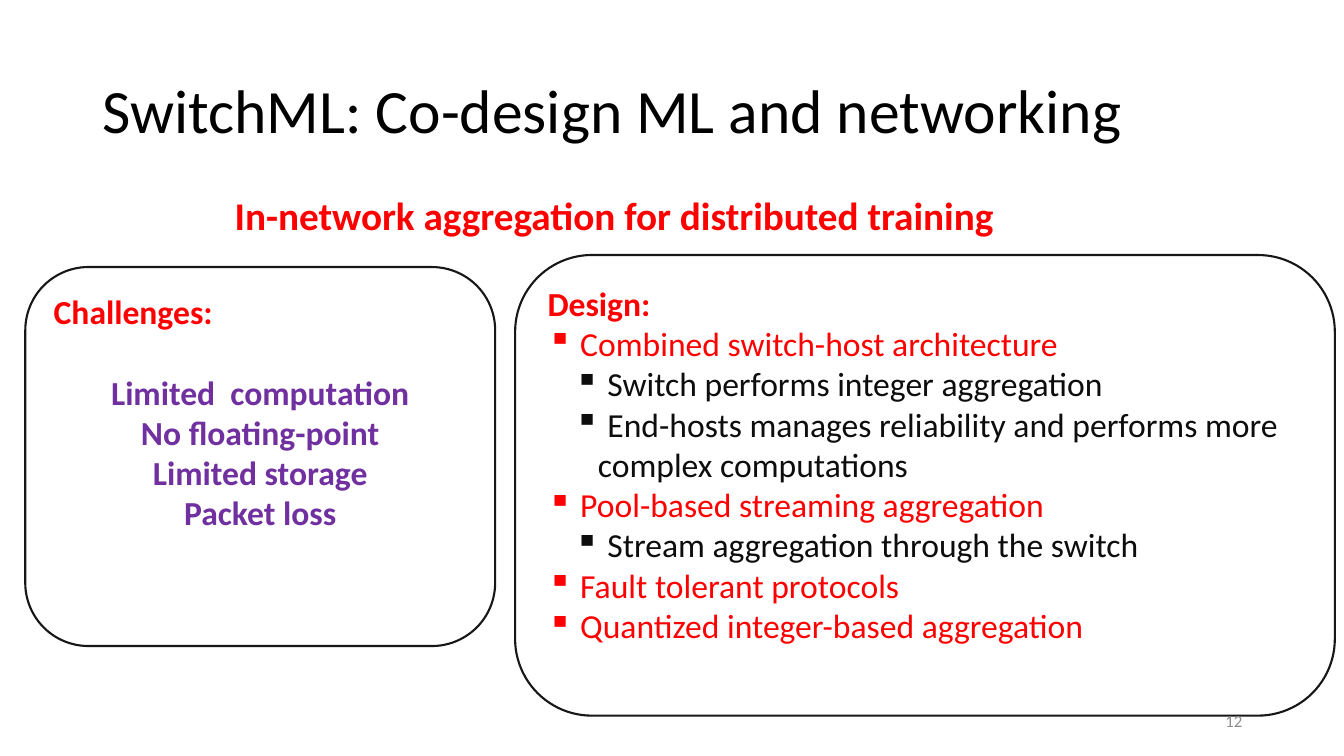
from dataclasses import dataclass

from lxml import etree
from pptx import Presentation
from pptx.dml.color import RGBColor
from pptx.enum.shapes import MSO_SHAPE
from pptx.enum.text import MSO_ANCHOR, PP_ALIGN
from pptx.oxml.ns import qn
from pptx.util import Inches, Pt

ROUNDED = MSO_SHAPE.ROUNDED_RECTANGLE
TOP, MIDDLE = MSO_ANCHOR.TOP, MSO_ANCHOR.MIDDLE
LEFT, CENTER, RIGHT = PP_ALIGN.LEFT, PP_ALIGN.CENTER, PP_ALIGN.RIGHT


@dataclass(frozen=True)
class Theme:
    font: str = "Calibri"
    black: str = "000000"
    ink: str = "0D0D0D"
    outline: str = "181717"
    red: str = "FF0000"
    purple: str = "7030A0"
    grey: str = "8C8C8C"
    title: int = 44
    subtitle: int = 28
    body: int = 24
    footer: int = 12
    line: float = 1.5
    bullet: str = "▪"


class SlideBuilder:
    GRID = 100

    def __init__(self, prs, theme):
        self.theme = theme
        self.col = prs.slide_width / self.GRID
        self.row = prs.slide_height / self.GRID
        self.s = prs.slides.add_slide(prs.slide_layouts[6])

    def place(self, col, row, cols, rows):
        return (round(col * self.col), round(row * self.row),
                round(cols * self.col), round(rows * self.row))

    def frame(self, sp, anchor):
        tf = sp.text_frame
        for name, value in {"word_wrap": True, "vertical_anchor": anchor}.items():
            setattr(tf, name, value)
        return tf

    def paragraph(self, tf, text, size, color, bold=False, marker=None, **layout):
        p = tf.paragraphs[0] if tf.paragraphs[0].text == "" else tf.add_paragraph()
        for name, value in {"alignment": LEFT, **layout}.items():
            setattr(p, name, value)
        if marker is not None:
            margin, indent = marker
            pPr = p._p.get_or_add_pPr()
            pPr.set("marL", str(Inches(margin)))
            pPr.set("indent", str(Inches(indent)))
            etree.SubElement(pPr, qn("a:buChar")).set("char", self.theme.bullet)
        r = p.add_run()
        r.text = text
        style = {"name": self.theme.font, "size": Pt(size), "bold": bold}
        for name, value in style.items():
            setattr(r.font, name, value)
        r.font.color.rgb = RGBColor.from_string(color)

    def label(self, box, text, size, color, anchor=TOP, **fmt):
        sp = self.s.shapes.add_textbox(*self.place(*box))
        self.paragraph(self.frame(sp, anchor), text, size, color, **fmt)

    def panel(self, box, heading, **fmt):
        sp = self.s.shapes.add_shape(ROUNDED, *self.place(*box))
        sp.shadow.inherit = False
        sp.fill.background()
        sp.line.color.rgb = RGBColor.from_string(self.theme.outline)
        sp.line.width = Pt(self.theme.line)
        tf = self.frame(sp, TOP)
        self.paragraph(tf, heading, self.theme.body, self.theme.red, bold=True, **fmt)
        return tf

    def challenges(self, box, items):
        tf = self.panel(box, "Challenges:", space_after=Pt(29))
        for text in items:
            self.paragraph(tf, text, self.theme.body, self.theme.purple,
                           bold=True, alignment=CENTER)

    def design(self, box, items):
        t = self.theme
        levels = [(t.red, (0, 0)), (t.ink, (0.5, -0.23))]
        tf = self.panel(box, "Design:")
        for level, text in items:
            color, marker = levels[level]
            self.paragraph(tf, f" {text}", t.body, color, marker=marker, level=level)


def main():
    prs = Presentation()
    prs.slide_width, prs.slide_height = Inches(13.33), Inches(7.5)
    t = Theme()
    s = SlideBuilder(prs, t)
    s.label((6.9, 5.33, 86.27, 19.33), "SwitchML: Co-design ML and networking",
            t.title, t.black, MIDDLE, line_spacing=0.9)
    s.label((16.73, 24.67, 62.04, 7.6), "In-network aggregation for distributed training",
            t.subtitle, t.red, bold=True)
    s.challenges((1.88, 35.33, 34.96, 50.13), [
        "Limited  computation", "No floating-point", "Limited storage", "Packet loss"])
    s.design((38.33, 33.73, 60.99, 60.93), [
        (0, "Combined switch-host architecture"),
        (1, "Switch performs integer aggregation"),
        (1, "End-hosts manages reliability and performs more complex computations"),
        (0, "Pool-based streaming aggregation"),
        (1, "Stream aggregation through the switch"),
        (0, "Fault tolerant protocols"),
        (0, "Quantized integer-based aggregation")])
    s.label((70.67, 92.67, 22.5, 5.33), "12", t.footer, t.grey, MIDDLE, alignment=RIGHT)
    prs.save("out.pptx")


if __name__ == "__main__":
    main()
